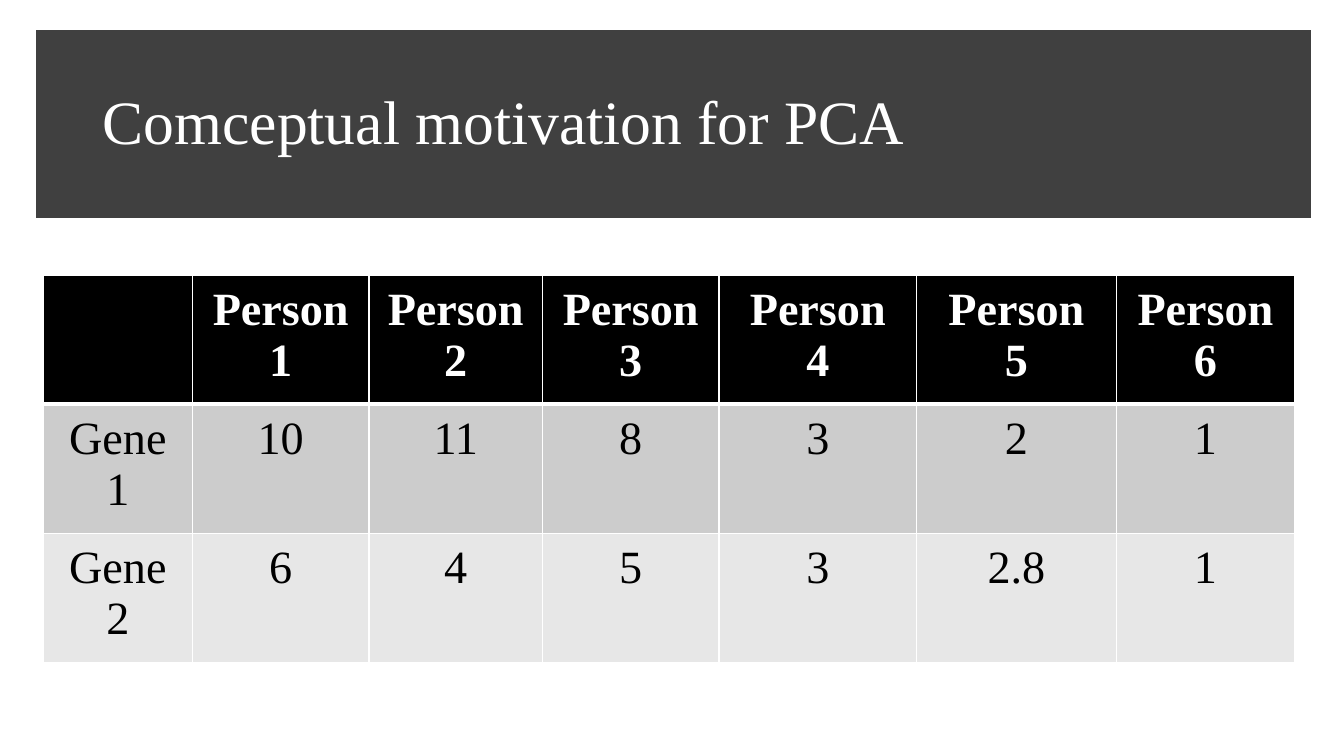
"""Build the slide that introduces PCA with a small gene table."""
from dataclasses import dataclass

from lxml import etree
from pptx import Presentation
from pptx.dml.color import RGBColor
from pptx.enum.shapes import MSO_SHAPE
from pptx.enum.text import MSO_ANCHOR, PP_ALIGN
from pptx.oxml.ns import qn
from pptx.util import Cm, Pt

RECT = MSO_SHAPE.RECTANGLE
MIDDLE = MSO_ANCHOR.MIDDLE
CENTER = PP_ALIGN.CENTER
FONT = "Times New Roman"
WHITE, BLACK, DARK = "FFFFFF", "000000", "404040"
COL_WIDTHS = (3.76, 4.45, 4.37, 4.45, 4.98, 5.03, 4.5)
ROW_HEIGHT = 3.02


@dataclass
class TableRow:
    texts: tuple[str, ...]
    fill: str
    color: str = BLACK
    bold: bool = False
    top: float = 1
    bottom: float = 1


ROWS = (
    TableRow(("", *(f"Person {i}" for i in range(1, 7))), BLACK, WHITE, True, bottom=3),
    TableRow(("Gene 1", "10", "11", "8", "3", "2", "1"), "CCCCCC", top=3),
    TableRow(("Gene 2", "6", "4", "5", "3", "2.8", "1"), "E7E7E7"),
)


def rgb(value: str) -> RGBColor:
    return RGBColor.from_string(value)


def add_run(p, text: str, size: float, color: str, bold: bool = False) -> None:
    r = p.add_run()
    r.text = text
    r.font.name = FONT
    r.font.size = Pt(size)
    r.font.bold = bold
    r.font.color.rgb = rgb(color)


def add_band(s) -> None:
    sp = s.shapes.add_shape(RECT, Cm(1.09), Cm(0.94), Cm(31.78), Cm(4.39))
    sp.shadow.inherit = False
    sp.fill.solid()
    sp.fill.fore_color.rgb = rgb(DARK)
    sp.line.color.rgb = rgb(DARK)
    sp.line.width = Pt(10)
    etree.SubElement(sp.line._get_or_add_ln(), qn("a:miter"), lim="800000")


def add_title(s, text: str) -> None:
    sp = s.shapes.add_textbox(Cm(2.34), Cm(1.3), Cm(29.21), Cm(3.68))
    tf = sp.text_frame
    tf.word_wrap = True
    tf.vertical_anchor = MIDDLE
    p = tf.paragraphs[0]
    p.line_spacing = 0.9
    add_run(p, text, 44, WHITE)


def set_borders(cell, row: TableRow) -> None:
    tc_pr = cell._tc.get_or_add_tcPr()
    sides = (("lnL", 1), ("lnR", 1), ("lnT", row.top), ("lnB", row.bottom))
    for i, (side, width) in enumerate(sides):
        ln = etree.Element(qn(f"a:{side}"), w=str(Pt(width)))
        fill = etree.SubElement(ln, qn("a:solidFill"))
        etree.SubElement(fill, qn("a:srgbClr"), val=WHITE)
        tc_pr.insert(i, ln)


def fill_cell(cell, text: str, row: TableRow) -> None:
    cell.margin_left = cell.margin_right = Cm(0.46)
    cell.margin_top = cell.margin_bottom = Cm(0.23)
    cell.fill.solid()
    cell.fill.fore_color.rgb = rgb(row.fill)
    set_borders(cell, row)
    if text:
        p = cell.text_frame.paragraphs[0]
        p.alignment = CENTER
        add_run(p, text, 33, row.color, row.bold)


def add_gene_table(s) -> None:
    table = s.shapes.add_table(
        len(ROWS), len(COL_WIDTHS), Cm(1.09), Cm(6.93),
        Cm(sum(COL_WIDTHS)), Cm(ROW_HEIGHT * len(ROWS)),
    ).table
    for column, width in zip(table.columns, COL_WIDTHS):
        column.width = Cm(width)
    for i, row in enumerate(ROWS):
        for j, text in enumerate(row.texts):
            fill_cell(table.cell(i, j), text, row)


def main() -> None:
    prs = Presentation()
    prs.slide_width, prs.slide_height = Cm(33.87), Cm(19.05)
    s = prs.slides.add_slide(prs.slide_layouts[6])
    add_band(s)
    add_title(s, "Comceptual motivation for PCA")
    add_gene_table(s)
    prs.save("out.pptx")


if __name__ == "__main__":
    main()
